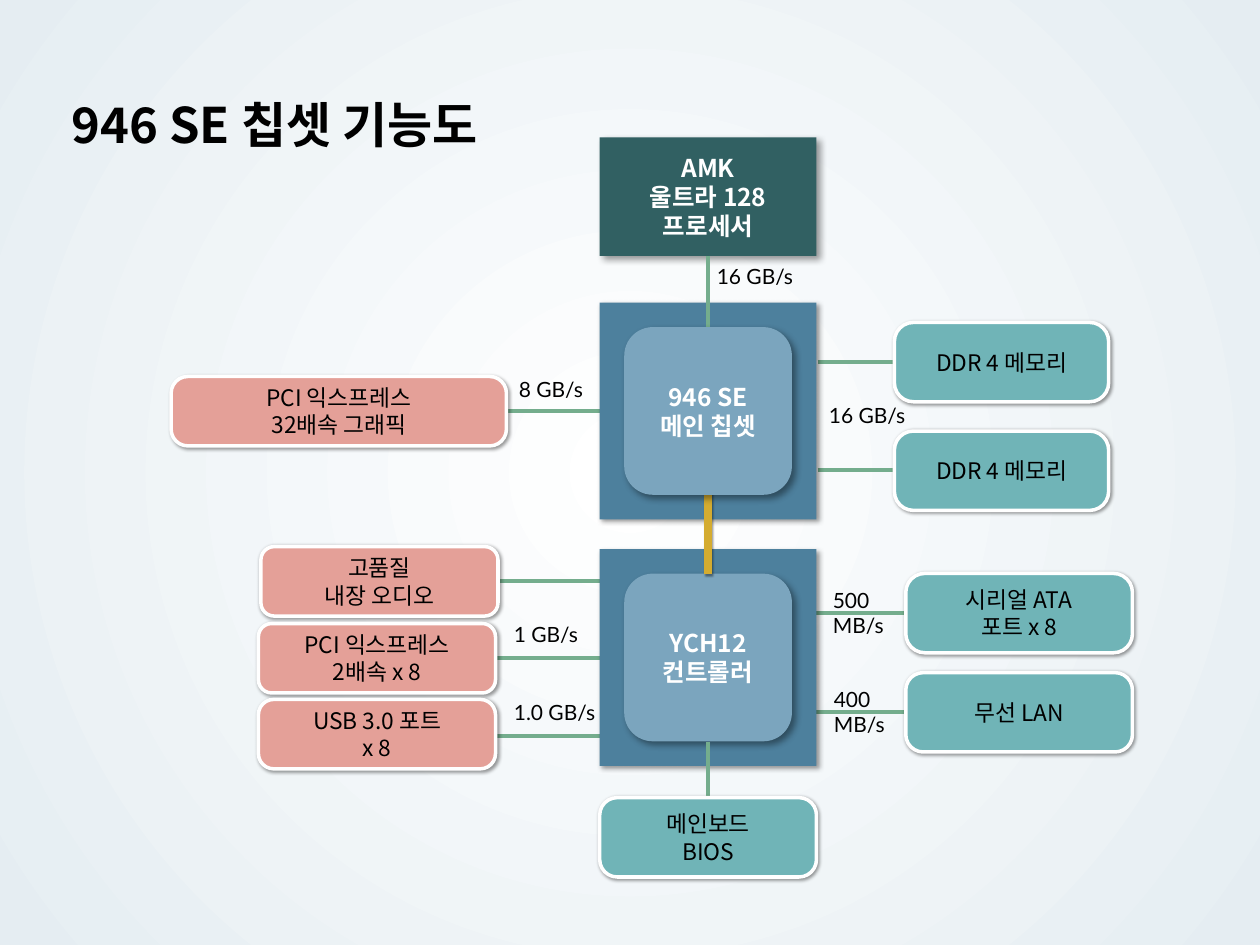
import copy
from dataclasses import dataclass
from typing import Optional

import pptx
import pptx.dml.color
import pptx.enum.shapes
import pptx.enum.text
import pptx.oxml
import pptx.oxml.ns
import pptx.util

Cm = pptx.util.Cm
Pt = pptx.util.Pt
RGB = pptx.dml.color.RGBColor
qn = pptx.oxml.ns.qn
Kind = pptx.enum.shapes.MSO_SHAPE
Align = pptx.enum.text.PP_ALIGN
Anchor = pptx.enum.text.MSO_ANCHOR
Fit = pptx.enum.text.MSO_AUTO_SIZE

BLACK = RGB(0x00, 0x00, 0x00)
WHITE = RGB(0xFF, 0xFF, 0xFF)
MIST = RGB(0xE5, 0xED, 0xF2)
PINK = RGB(0xE4, 0xA0, 0x98)
TEAL = RGB(0x70, 0xB4, 0xB7)
PINE = RGB(0x31, 0x60, 0x62)
BLUE = RGB(0x4D, 0x80, 0x9D)
SKY = RGB(0x7B, 0xA5, 0xBE)
GREEN = RGB(0x74, 0xAD, 0x8D)
GOLD = RGB(0xD4, 0xAC, 0x30)

HANGUL = "Noto Sans CJK KR"
LATIN = "Lato"
MID = 14.27
SIDE = 12.09
PANEL = 4.37
CORE = 3.38
INSET = (PANEL - CORE) / 2


@dataclass
class Box:
    text: str
    left: float
    top: float
    width: float
    height: float
    fill: RGB
    round: Optional[float] = None  # corner ratio; None means square corners
    edge: bool = False
    bold: bool = False
    blur: float = 2
    dist: float = 1


@dataclass
class Link:
    x1: float
    y1: float
    x2: float
    y2: float
    color: RGB = GREEN
    width: float = 2.25


@dataclass
class Label:
    text: str
    left: float
    top: float


def port(text: str, left: float, top: float, width: float, fill: RGB,
         ratio: float) -> Box:
    height = 1.4 if fill == PINK else 1.6
    return Box(text, left, top, width, height, fill, ratio, edge=True)


def core(text: str, top: float) -> Box:
    return Box(text, SIDE + INSET, top + INSET, CORE, CORE, SKY, 0.17,
               bold=True, blur=4, dist=3)


def across(x1: float, x2: float, y: float) -> Link:
    return Link(x1, y, x2, y)


TOPS = (6.1, 11.07)
SIDES = [
    across(10.01, 12.45, 11.71), across(9.98, 12.42, 13.26),
    across(9.93, 12.37, 14.83), across(10.21, SIDE, 8.29),
    across(16.48, 18.06, 7.3), across(16.48, 18.06, 9.47),
    across(16.43, 18.26, 12.36), across(16.43, 18.26, 14.35),
]
PORTS = [
    port("고품질\n내장 오디오", 5.26, 11.02, 4.78, PINK, 0.19),
    port("PCI 익스프레스\n2배속 x 8", 5.21, 12.57, 4.78, PINK, 0.19),
    port("USB 3.0 포트\nx 8", 5.21, 14.1, 4.78, PINK, 0.22),
    port("PCI 익스프레스\n32배속 그래픽", 3.45, 7.59, 6.76, PINK, 0.24),
    port("DDR 4 메모리", 18.03, 6.5, 4.32, TEAL, 0.24),
    port("DDR 4 메모리", 18.03, 8.69, 4.32, TEAL, 0.24),
    port("시리얼 ATA\n포트 x 8", 18.26, 11.56, 4.57, TEAL, 0.24),
    port("무선 LAN", 18.26, 13.56, 4.57, TEAL, 0.22),
]
PANELS = [Box("", SIDE, top, PANEL, PANEL, BLUE, blur=3, dist=2)
          for top in TOPS]
CPU = Box("AMK\n울트라 128\n프로세서", SIDE, 2.77, PANEL, 2.39, PINE,
          bold=True, blur=4, dist=3)
SOUTH = core("YCH12\n컨트롤러", TOPS[1])
BUSES = [
    Link(MID, 5.16, MID, 6.6),
    Link(MID, 9.6, MID, 11.58, GOLD, 4.25),
    Link(MID, 14.96, MID, 16.08),
]
BIOS = port("메인보드\nBIOS", SIDE, 16.08, PANEL, TEAL, 0.22)
NORTH = core("946 SE\n메인 칩셋", TOPS[0])
LABELS = [
    Label("16 GB/s", 14.2, 5.18), Label("8 GB/s", 10.21, 7.47),
    Label("1 GB/s", 10.11, 12.4), Label("1.0 GB/s", 10.11, 13.97),
    Label("500\nMB/s", 16.54, 11.71), Label("400\nMB/s", 16.56, 13.72),
    Label("16 GB/s", 16.46, 8.0),
]


def write(shape, text: str, *, size: float, font: str = HANGUL,
          color: RGB = BLACK, bold: bool = False, align=Align.LEFT,
          anchor=Anchor.TOP, fit=Fit.NONE) -> None:
    frame = shape.text_frame
    frame.word_wrap = True
    frame.auto_size = fit
    frame.vertical_anchor = anchor
    para = frame.paragraphs[0]
    para.text = text
    para.alignment = align
    for run in para.runs:
        run.font.size = Pt(size)
        run.font.name = font
        run.font.bold = bold
        run.font.color.rgb = color
        east = run.font._element.makeelement(qn("a:ea"), {"typeface": font})
        run.font._element.append(east)
    for gap in para._p.findall(qn("a:br")):
        gap.insert(0, copy.deepcopy(para.runs[0].font._element))


def shade(shape, blur: float, dist: float) -> None:
    """Give the shape a soft black shadow to the lower right."""
    ns = pptx.oxml.ns.nsdecls("a")
    shape._element.spPr.append(pptx.oxml.parse_xml(
        f'<a:effectLst {ns}><a:outerShdw blurRad="{Pt(blur)}" '
        f'dist="{Pt(dist)}" dir="2700000" algn="tl" rotWithShape="0">'
        '<a:srgbClr val="000000"><a:alpha val="40000"/></a:srgbClr>'
        '</a:outerShdw></a:effectLst>'))


def draw_box(slide, box: Box) -> None:
    kind = Kind.RECTANGLE if box.round is None else Kind.ROUNDED_RECTANGLE
    shape = slide.shapes.add_shape(kind, Cm(box.left), Cm(box.top),
                                   Cm(box.width), Cm(box.height))
    if box.round is not None:
        shape.adjustments[0] = box.round
    shape.fill.solid()
    shape.fill.fore_color.rgb = box.fill
    if box.edge:
        shape.line.color.rgb = WHITE
        shape.line.width = Pt(2)
    else:
        shape.line.fill.background()
    shade(shape, box.blur, box.dist)
    if box.text:
        write(shape, box.text, size=14 if box.bold else 13, bold=box.bold,
              color=WHITE if box.bold else BLACK, align=Align.CENTER,
              anchor=Anchor.MIDDLE)


def draw_link(slide, link: Link) -> None:
    line = slide.shapes.add_connector(
        pptx.enum.shapes.MSO_CONNECTOR.STRAIGHT,
        Cm(link.x1), Cm(link.y1), Cm(link.x2), Cm(link.y2))
    line.line.color.rgb = link.color
    line.line.width = Pt(link.width)
    if link.color == GOLD:
        shade(line, 1, 1)
    else:
        props = line._element.spPr
        props.append(props.makeelement(qn("a:effectLst"), {}))


def draw_label(slide, label: Label) -> None:
    height = 1.27 if "\n" in label.text else 0.76
    shape = slide.shapes.add_textbox(Cm(label.left), Cm(label.top),
                                     Cm(3.18), Cm(height))
    write(shape, label.text, size=12, font=LATIN, fit=Fit.SHAPE_TO_FIT_TEXT)


def paint(slide) -> None:
    """Fill the background with a round gradient from the centre."""
    fill = slide.background.fill
    fill.gradient()
    for stop, color, place in zip(fill.gradient_stops, (WHITE, MIST), (0, 1)):
        stop.color.rgb = color
        stop.position = place
    grad = slide._element.find(".//" + qn("a:gradFill"))
    ns = pptx.oxml.ns.nsdecls("a")
    grad.replace(grad.find(qn("a:lin")), pptx.oxml.parse_xml(
        f'<a:path {ns} path="circle"><a:fillToRect l="50000" t="50000" '
        'r="50000" b="50000"/></a:path>'))


def main() -> None:
    deck = pptx.Presentation()
    deck.slide_width, deck.slide_height = Cm(25.4), Cm(19.05)
    slide = deck.slides.add_slide(deck.slide_layouts[5])
    paint(slide)
    title = slide.shapes.title
    title.left, title.top = Cm(1.19), Cm(1.78)
    title.width, title.height = Cm(12.12), Cm(1.45)
    write(title, "946 SE 칩셋 기능도", size=28, bold=True,
          fit=Fit.SHAPE_TO_FIT_TEXT)
    for link in SIDES:
        draw_link(slide, link)
    for box in PORTS + PANELS + [SOUTH, CPU]:
        draw_box(slide, box)
    for link in BUSES:
        draw_link(slide, link)
    for label in LABELS:
        draw_label(slide, label)
    for box in (BIOS, NORTH):
        draw_box(slide, box)
    deck.save("out.pptx")


if __name__ == "__main__":
    main()
